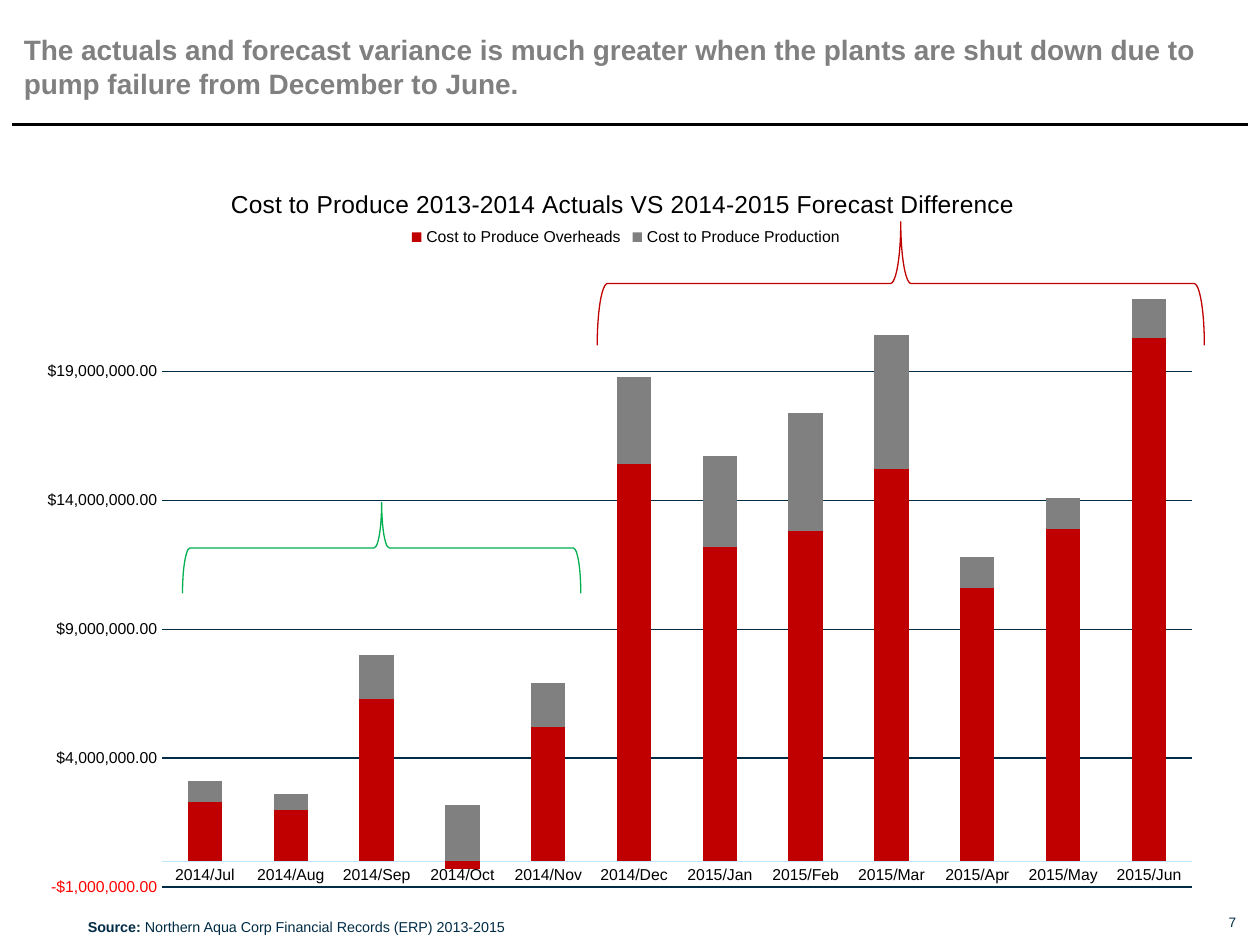
from dataclasses import dataclass

from lxml import etree
from pptx import Presentation
from pptx.chart.data import CategoryChartData
from pptx.dml.color import RGBColor
from pptx.enum.chart import XL_CHART_TYPE, XL_LEGEND_POSITION, XL_TICK_MARK
from pptx.enum.shapes import MSO_CONNECTOR, MSO_SHAPE
from pptx.enum.text import MSO_ANCHOR, MSO_AUTO_SIZE, PP_ALIGN
from pptx.oxml.ns import qn
from pptx.util import Cm, Pt

STACKED = XL_CHART_TYPE.COLUMN_STACKED
LEGEND_TOP = XL_LEGEND_POSITION.TOP
NO_TICK = XL_TICK_MARK.NONE
STRAIGHT = MSO_CONNECTOR.STRAIGHT
BRACE = MSO_SHAPE.RIGHT_BRACE
TOP, MIDDLE = MSO_ANCHOR.TOP, MSO_ANCHOR.MIDDLE
NO_FIT = MSO_AUTO_SIZE.NONE
LEFT, RIGHT = PP_ALIGN.LEFT, PP_ALIGN.RIGHT


@dataclass(frozen=True)
class Theme:
    """Colours, font and type sizes of the slide."""
    font: str = "Arial"
    navy: str = "002C46"
    black: str = "000000"
    grey: str = "808080"
    red: str = "C00000"
    green: str = "00B050"
    pale: str = "BDE6FF"
    heading: float = 16
    chart_title: float = 14
    chart_text: float = 10
    label: float = 9
    source: float = 8.2
    number: float = 7.8
    hairline: float = 0.75
    rule: float = 2


THEME = Theme()
MONTHS = [f"2014/{m}" for m in "Jul Aug Sep Oct Nov Dec".split()]
MONTHS += [f"2015/{m}" for m in "Jan Feb Mar Apr May Jun".split()]
MILLION = 1_000_000
COSTS = [
    ("Cost to Produce Overheads", THEME.red,
     (2.3, 2.0, 6.3, -0.3, 5.2, 15.4, 12.2, 12.8, 15.2, 10.6, 12.9, 20.3)),
    ("Cost to Produce Production", THEME.grey,
     (0.8, 0.6, 1.7, 2.2, 1.7, 3.4, 3.5, 4.6, 5.2, 1.2, 1.2, 1.5)),
]


def style_font(font, size, color, bold=False):
    """Set face, size, colour and weight of a font."""
    font.name, font.size, font.bold = THEME.font, Pt(size), bold
    font.color.rgb = RGBColor.from_string(color)


def style_line(line, color, width):
    """Set colour and width of a line."""
    line.color.rgb = RGBColor.from_string(color)
    line.width = Pt(width)


def write(frame, text, size, color, bold=False, lead="", align=LEFT,
          anchor=TOP, insets=(0, 0)):
    """Write one paragraph, with an optional bold lead-in."""
    frame.word_wrap, frame.auto_size = True, NO_FIT
    frame.vertical_anchor = anchor
    frame.margin_left = frame.margin_right = Cm(insets[0])
    frame.margin_top = frame.margin_bottom = Cm(insets[1])
    paragraph = frame.paragraphs[0]
    paragraph.alignment = align
    for words, weight in ((lead, True), (text, bold)):
        if words:
            run = paragraph.add_run()
            run.text = words
            style_font(run.font, size, color, weight)


def add_text(slide, box, text, **style):
    """Add a text box."""
    holder = slide.shapes.add_textbox(*map(Cm, box))
    write(holder.text_frame, text, **style)


def add_heading(slide, box, text):
    """Place and fill the title placeholder."""
    heading = slide.shapes.title
    heading.left, heading.top, heading.width, heading.height = map(Cm, box)
    write(heading.text_frame, text, THEME.heading, THEME.grey, bold=True)


def add_rule(slide, left, right, y):
    """Add the horizontal rule below the heading."""
    rule = slide.shapes.add_connector(STRAIGHT, Cm(left), Cm(y), Cm(right), Cm(y))
    style_line(rule.line, THEME.black, THEME.rule)
    etree.SubElement(rule.element.spPr, qn("a:effectLst"))


def add_brace(slide, left, top, width, height, color):
    """Add an upward brace that fills the given box once rotated."""
    offset = (width - height) / 2
    frame = (left + offset, top - offset, height, width)
    brace = slide.shapes.add_shape(BRACE, *map(Cm, frame))
    brace.rotation = 270
    brace.shadow.inherit = False
    brace.fill.background()
    style_line(brace.line, color, THEME.hairline)


def set_layout(part, inner=False, **fractions):
    """Fix a chart part at fractions of the chart area."""
    for old in part.findall(qn("c:layout")):
        part.remove(old)
    layout = etree.Element(qn("c:layout"))
    manual = etree.SubElement(layout, qn("c:manualLayout"))
    settings = {"layoutTarget": "inner"} if inner else {}
    settings.update(xMode="edge", yMode="edge", **fractions)
    for tag, value in settings.items():
        etree.SubElement(manual, qn(f"c:{tag}")).set("val", str(value))
    overlay = part.find(qn("c:overlay"))
    if inner:
        part.insert(0, layout)
    elif overlay is not None:
        overlay.addprevious(layout)
    else:
        part.append(layout)


def style_axes(chart):
    """Format both axes and the gridlines."""
    months, dollars = chart.category_axis, chart.value_axis
    for axis in (months, dollars):
        axis.major_tick_mark = axis.minor_tick_mark = NO_TICK
        style_font(axis.tick_labels.font, THEME.label, THEME.black)
    style_line(months.format.line, THEME.pale, THEME.hairline)
    months.has_major_gridlines = False
    dollars.format.line.fill.background()
    dollars.minimum_scale, dollars.maximum_scale = -MILLION, 23 * MILLION
    dollars.major_unit = 5 * MILLION
    dollars.has_major_gridlines = True
    style_line(dollars.major_gridlines.format.line, THEME.navy, THEME.hairline)
    dollars.tick_labels.number_format = '"$"#,##0.00;[Red]\\-"$"#,##0.00'
    dollars.tick_labels.number_format_is_linked = False


def add_cost_chart(slide, box, title):
    """Add the stacked column chart of monthly cost differences."""
    data = CategoryChartData()
    data.categories = MONTHS
    for name, _, millions in COSTS:
        data.add_series(name, [round(value * MILLION) for value in millions])
    chart = slide.shapes.add_chart(STACKED, *map(Cm, box), data).chart
    style_font(chart.font, THEME.chart_text, THEME.navy)
    chart.has_title = True
    caption = chart.chart_title.text_frame.paragraphs[0].add_run()
    caption.text = title
    style_font(caption.font, THEME.chart_title, THEME.black)
    chart.has_legend = True
    chart.legend.position = LEGEND_TOP
    chart.legend.include_in_layout = False
    style_font(chart.legend.font, THEME.label, THEME.black)
    columns = chart.plots[0]
    columns.gap_width, columns.overlap = 150, 100
    columns.vary_by_categories = False
    for series, (_, color, _) in zip(columns.series, COSTS):
        series.invert_if_negative = False
        series.format.fill.solid()
        series.format.fill.fore_color.rgb = RGBColor.from_string(color)
    style_axes(chart)
    root = chart.element
    set_layout(root.xpath("c:chart/c:title")[0], x=0.17, y=0.04)
    set_layout(root.xpath("c:chart/c:legend")[0], x=0.32, y=0.09, w=0.37, h=0.04)
    set_layout(root.xpath("c:chart/c:plotArea")[0], inner=True,
               x=0.116, y=0.151, w=0.864, h=0.816)


def main():
    """Build and save the slide."""
    deck = Presentation()
    deck.slide_width, deck.slide_height = Cm(25.4), Cm(19.05)
    slide = deck.slides.add_slide(deck.slide_layouts.get_by_name("Title Only"))
    add_text(slide, (24.56, 18.42, 0.36, 0.33), "7", size=THEME.number,
             color=THEME.navy, align=RIGHT, anchor=MIDDLE)
    add_rule(slide, 0.25, 25.15, 2.51)
    add_heading(slide, (0.48, 0.66, 24.43, 1.42),
                "The actuals and forecast variance is much greater when the plants "
                "are shut down due to pump failure from December to June.")
    add_text(slide, (1.52, 18.39, 9.4, 0.61),
             "Northern Aqua Corp Financial Records (ERP) 2013-2015",
             lead="Source: ", size=THEME.source, color=THEME.navy,
             insets=(0.25, 0.13))
    add_cost_chart(slide, (0.48, 3.1, 24.03, 15.29),
                   "Cost to Produce 2013-2014 Actuals VS 2014-2015 Forecast Difference")
    add_brace(slide, 3.68, 10.13, 8.03, 1.83, THEME.green)
    add_brace(slide, 12.04, 4.47, 12.24, 2.49, THEME.red)
    deck.save("out.pptx")


main()
